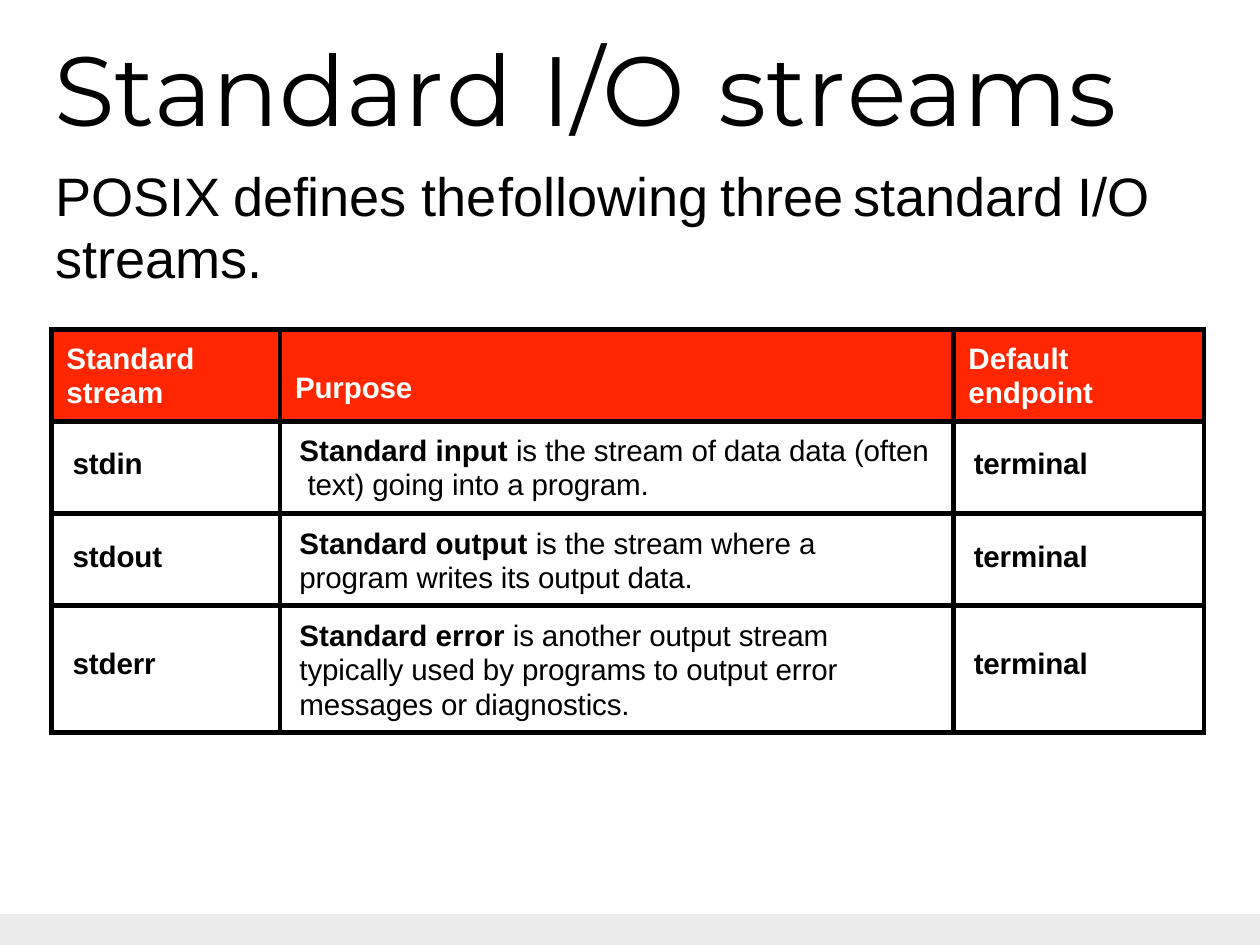
from dataclasses import dataclass

from lxml.etree import SubElement
from pptx import Presentation
from pptx.dml.color import RGBColor
from pptx.enum.shapes import MSO_SHAPE
from pptx.oxml import parse_xml
from pptx.oxml.ns import qn
from pptx.util import Inches, Length, Pt

BLACK = RGBColor(0x00, 0x00, 0x00)
WHITE = RGBColor(0xFF, 0xFF, 0xFF)
RED = RGBColor(0xFF, 0x26, 0x00)
GREY = RGBColor(0xEB, 0xEB, 0xEB)

SPACE = "http://schemas.openxmlformats.org/drawingml/2006/main"
WIDE, TALL = 142.2, 106.7  # slide size in grid steps
LEFT, TOP = 5.8, 37.2
COLS = (25.8, 76, 28.3)
ROWS = (10.4, 10.4, 10.4, 14.3)
EDGE = Pt(4.25)


@dataclass(frozen=True)
class Run:
    """A piece of text with one look; gap is letter spacing in points."""
    text: str
    bold: bool = False
    gap: float = 0


@dataclass(frozen=True)
class Cell:
    """A table cell: its runs, indent and top inset in grid steps."""
    runs: tuple[Run, ...]
    dent: float
    top: float
    lead: bool = False  # fixed line pitch for cells of several lines


def step(count: float) -> Length:
    """Turn grid steps of a tenth of an inch into a length."""
    return Inches(count / 10)


def add_runs(para, runs: tuple[Run, ...], face: str, size: float, color: RGBColor) -> None:
    """Write runs into a paragraph."""
    for item in runs:
        run = para.add_run()
        run.text = item.text
        run.font.name = face
        run.font.size = Pt(size)
        run.font.bold = item.bold
        run.font.color.rgb = color
        if item.gap:
            run.font._element.set("spc", str(round(item.gap * 100)))


def set_tabs(para, dent: float, stops: tuple[float, ...]) -> None:
    """Give a paragraph its indent and left tab stops."""
    props = para._p.get_or_add_pPr()
    props.set("marL", str(step(dent)))
    props.set("indent", "0")
    if stops:
        tabs = SubElement(props, qn("a:tabLst"))
        for stop in stops:
            SubElement(tabs, qn("a:tab"), pos=str(step(stop)), algn="l")


def set_edge(cell) -> None:
    """Draw a black line on all four sides of a cell."""
    props = cell._tc.get_or_add_tcPr()
    for spot, side in enumerate("LRTB"):
        props.insert(spot, parse_xml(
            f'<a:ln{side} xmlns:a="{SPACE}" w="{EDGE}"><a:solidFill>'
            f'<a:srgbClr val="{BLACK}"/></a:solidFill></a:ln{side}>'))


def fill_cell(cell, data: Cell, head: bool) -> None:
    """Write and style one table cell."""
    cell.margin_left = cell.margin_bottom = 0
    cell.margin_right = step(2)
    cell.margin_top = step(data.top)
    para = cell.text_frame.paragraphs[0]
    if data.lead:
        para.line_spacing = Pt(28)
    set_tabs(para, data.dent, ())
    add_runs(para, data.runs, "Arial", 24, WHITE if head else BLACK)
    if head:
        cell.fill.solid()
        cell.fill.fore_color.rgb = RED
    else:
        cell.fill.background()
    set_edge(cell)


def add_grid(slide, data: tuple[tuple[Cell, ...], ...]) -> None:
    """Add the table of streams."""
    table = slide.shapes.add_table(
        len(ROWS), len(COLS), step(LEFT), step(TOP),
        step(sum(COLS)), step(sum(ROWS))).table
    table.horz_banding = False
    for col, width in zip(table.columns, COLS):
        col.width = step(width)
    for row, height, cells in zip(table.rows, ROWS, data):
        row.height = step(height)
        for cell, item in zip(row.cells, cells):
            fill_cell(cell, item, cells is data[0])


def add_bar(slide) -> None:
    """Add the grey strip at the foot of the slide."""
    bar = slide.shapes.add_shape(
        MSO_SHAPE.RECTANGLE, 0, step(TALL - 3.5), step(WIDE), step(3.5))
    bar.shadow.inherit = False
    bar.fill.solid()
    bar.fill.fore_color.rgb = GREY
    bar.line.fill.background()


def add_title(slide) -> None:
    """Add the title and the line below it."""
    frame = slide.shapes.add_textbox(step(6), 0, step(125.5), step(32.6)).text_frame
    frame.word_wrap = True
    frame.margin_left = frame.margin_right = frame.margin_bottom = 0
    frame.margin_top = step(3.2)
    title = frame.paragraphs[0]
    set_tabs(title, 0.1, (59.1, 79.4))
    add_runs(title, (Run("Standa"), Run("r", gap=1.9), Run("d\tI/O\tst"),
                     Run("r", gap=1.2), Run("eams")), "Montserrat", 80, BLACK)
    intro = frame.add_paragraph()
    intro.line_spacing = Pt(50)
    intro.space_before = Pt(16)
    set_tabs(intro, 0.3, (20.6, 52.2, 77.7, 93.4))
    add_runs(intro, (Run("POSIX\tdefines the\tfollowing\tthree\tstandard I/O  streams.",
                         gap=-0.1),), "Arial", 44, BLACK)


def label(text: str, top: float, dent: float) -> Cell:
    """Make a bold cell of one line."""
    return Cell((Run(text, True, -0.1),), dent, top)


def stream(name: str, term: str, text: str, top: float, drop: float) -> tuple[Cell, ...]:
    """Make the row for one stream."""
    use = Cell((Run(term + " ", True), Run(text, gap=-0.1)), 2.2, drop, True)
    return label(name, top, 2.4), use, label("terminal", top, 2.3)


HEAD = (
    Cell((Run("Standard  stream", True),), 1.7, 1.3, True),
    label("Purpose", 4.8, 1.7),
    Cell((Run("Default  ", True), Run("endpoint", True)), 1.7, 1.3, True),
)
DATA = (
    HEAD,
    stream("stdin", "Standard input",
           "is the stream of data data (often  text) going into a program.", 3, 1.3),
    stream("stdout", "Standard output",
           "is the stream where a  program writes its output data.", 3.1, 1.4),
    stream("stderr", "Standard error",
           "is another output stream  typically used by programs to output "
           "error  messages or diagnostics.", 4.8, 1.4),
)


def main() -> None:
    """Build the slide and save it."""
    deck = Presentation()
    deck.slide_width, deck.slide_height = step(WIDE), step(TALL)
    slide = deck.slides.add_slide(deck.slide_layouts[6])
    add_bar(slide)
    add_grid(slide, DATA)
    add_title(slide)
    deck.save("out.pptx")


main()
